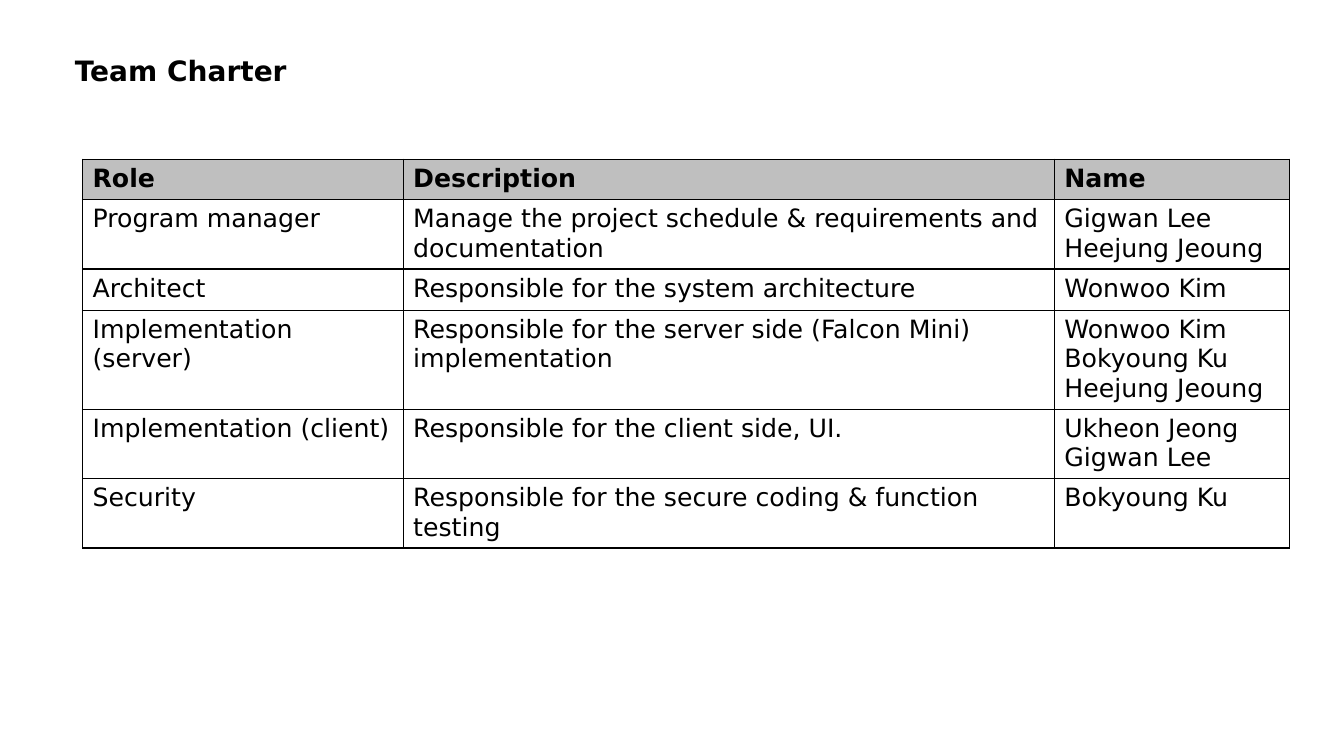
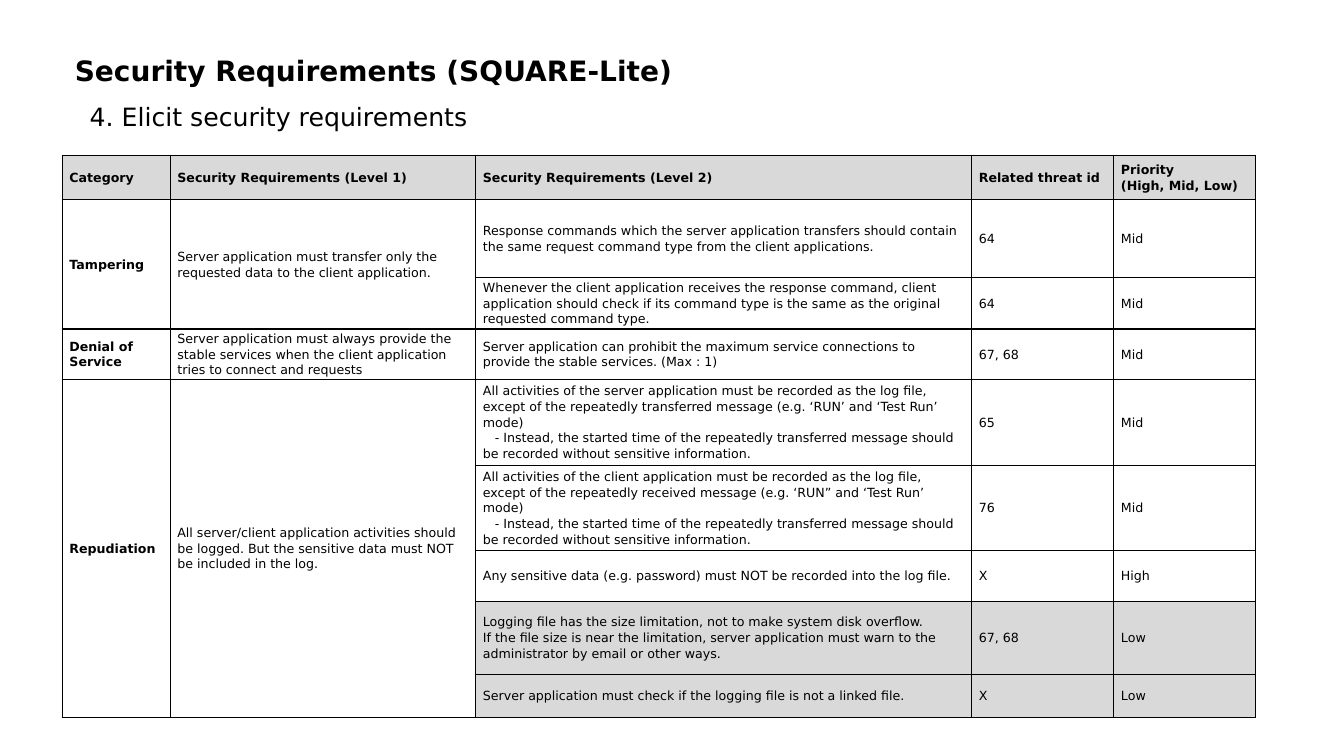
import pptx
import pptx.dml.color
import pptx.enum.text
import pptx.oxml
import pptx.oxml.ns
import pptx.util
from pptx.util import Cm, Pt

FONT = "DejaVu Sans"
BLACK, WHITE, GREY, LIGHT_GREY = "000000", "FFFFFF", "BFBFBF", "D9D9D9"
MIDDLE = pptx.enum.text.MSO_ANCHOR.MIDDLE
LEFT = pptx.enum.text.PP_ALIGN.LEFT

CHARTER_HEADER = ("Role", "Description", "Name")
CHARTER_COLUMNS = (8.08, 16.41, 5.92)
CHARTER_ROWS = (1.02, 1.75, 1.04, 2.49, 1.75, 1.75)
CHARTER = [
    ("Program manager", "Manage the project schedule & requirements and documentation",
     "Gigwan Lee\nHeejung Jeoung"),
    ("Architect", "Responsible for the system architecture", "Wonwoo Kim"),
    ("Implementation (server)",
     "Responsible for the server side (Falcon Mini) implementation",
     "Wonwoo Kim\nBokyoung Ku\nHeejung Jeoung"),
    ("Implementation (client)", "Responsible for the client side, UI.",
     "Ukheon Jeong\nGigwan Lee"),
    ("Security", "Responsible for the secure coding & function testing", "Bokyoung Ku"),
]

REQUIREMENTS_HEADER = ("Category", "Security Requirements (Level 1)",
                       "Security Requirements (Level 2)", "Related threat id",
                       "Priority\n(High, Mid, Low)")
REQUIREMENTS_COLUMNS = (2.72, 7.7, 12.5, 3.58, 3.56)
REQUIREMENTS_ROWS = (1.12, 1.96, 1.3, 1.27, 2.16, 2.16, 1.27, 1.85, 1.07)
# Category, level 1, then its level 2 rows: text, threat ids, priority
REQUIREMENTS = [
    ("Tampering",
     "Server application must transfer only the requested data to the client application.",
     [("Response commands which the server application transfers should contain the same "
       "request command type from the client applications.", "64", "Mid"),
      ("Whenever the client application receives the response command, client application "
       "should check if its command type is the same as the original requested command type.",
       "64", "Mid")]),
    ("Denial of Service",
     "Server application must always provide the stable services when the client "
     "application tries to connect and requests",
     [("Server application can prohibit the maximum service connections to provide the "
       "stable services. (Max : 1)", "67, 68", "Mid")]),
    ("Repudiation",
     "All server/client application activities should be logged. But the sensitive data "
     "must NOT be included in the log.",
     [("All activities of the server application must be recorded as the log file, except "
       "of the repeatedly transferred message (e.g. ‘RUN’ and ‘Test Run’ mode)\n"
       "- Instead, the started time of the repeatedly transferred message should be "
       "recorded without sensitive information.", "65", "Mid"),
      ("All activities of the client application must be recorded as the log file, except "
       "of the repeatedly received message (e.g. ‘RUN” and ‘Test Run’ mode)\n"
       "- Instead, the started time of the repeatedly transferred message should be "
       "recorded without sensitive information.", "76", "Mid"),
      ("Any sensitive data (e.g. password) must NOT be recorded into the log file.",
       "X", "High"),
      ("Logging file has the size limitation, not to make system disk overflow.\n"
       "If the file size is near the limitation, server application must warn to the "
       "administrator by email or other ways.", "67, 68", "Low"),
      ("Server application must check if the logging file is not a linked file.",
       "X", "Low")]),
]


def rgb(color):
    return pptx.dml.color.RGBColor.from_string(color)


def style_text(frame, size, bold=False, line_spacing=None):
    for paragraph in frame.paragraphs:
        paragraph.alignment = LEFT
        paragraph.line_spacing = line_spacing
        font = paragraph.font
        font.name, font.size, font.bold = FONT, Pt(size), bold
        font.color.rgb = rgb(BLACK)


def add_titled_slide(deck, heading):
    slide = deck.slides.add_slide(deck.slide_layouts[5])
    title = slide.shapes.title
    title.left, title.top, title.width, title.height = Cm(1.63), Cm(0.66), Cm(29.21), Cm(2.31)
    title.text_frame.text = heading
    title.text_frame.vertical_anchor = MIDDLE
    style_text(title.text_frame, 20, bold=True, line_spacing=0.9)
    return slide


def set_borders(cell):
    properties = cell._tc.get_or_add_tcPr()
    for position, side in enumerate(("lnL", "lnR", "lnT", "lnB")):
        properties.insert(position, pptx.oxml.parse_xml(
            f'<a:{side} {pptx.oxml.ns.nsdecls("a")} w="{Pt(1)}"><a:solidFill>'
            f'<a:srgbClr val="{BLACK}"/></a:solidFill></a:{side}>'))


def fill_cell(cell, text, size, bold, fill, line_spacing=None):
    cell.text = text
    style_text(cell.text_frame, size, bold, line_spacing)
    cell.fill.solid()
    cell.fill.fore_color.rgb = rgb(fill)
    set_borders(cell)


def add_plain_table(slide, left, top, columns, rows):
    table = slide.shapes.add_table(len(rows), len(columns), Cm(left), Cm(top),
                                   Cm(sum(columns)), Cm(sum(rows))).table
    table.first_row = table.horz_banding = False
    for column, width in zip(table.columns, columns):
        column.width = Cm(width)
    for row, height in zip(table.rows, rows):
        row.height = Cm(height)
    return table


def build_charter(deck):
    slide = add_titled_slide(deck, "Team Charter")
    table = add_plain_table(slide, 2.08, 4.01, CHARTER_COLUMNS, CHARTER_ROWS)
    for r, texts in enumerate([CHARTER_HEADER] + CHARTER):
        for c, text in enumerate(texts):
            fill_cell(table.cell(r, c), text, 18, r == 0, WHITE if r else GREY)


def fill_requirement(cell, text, bold, fill):
    fill_cell(cell, text, 9, bold, fill, line_spacing=1.07)
    cell.vertical_anchor = MIDDLE
    cell.margin_left = cell.margin_right = Cm(0.18)
    cell.margin_top = cell.margin_bottom = 0
    for paragraph in cell.text_frame.paragraphs:
        if paragraph.text.startswith("- "):
            paragraph._p.get_or_add_pPr().set("indent", str(Cm(0.3)))


def build_requirements(deck):
    slide = add_titled_slide(deck, "Security Requirements (SQUARE-Lite)")
    step = slide.shapes.add_textbox(Cm(2.01), Cm(2.44), Cm(27.48), Cm(1.02)).text_frame
    step.word_wrap = True
    step.text = "4. Elicit security requirements"
    style_text(step, 18)

    table = add_plain_table(slide, 1.57, 3.91, REQUIREMENTS_COLUMNS, REQUIREMENTS_ROWS)
    for c, text in enumerate(REQUIREMENTS_HEADER):
        fill_requirement(table.cell(0, c), text, True, LIGHT_GREY)
    first = 1
    for category, level1, details in REQUIREMENTS:
        last = first + len(details) - 1
        for r, detail in enumerate(details, first):
            shared = (category, level1) if r == first else ("", "")
            row_fill = LIGHT_GREY if detail[-1] == "Low" else WHITE
            for c, text in enumerate(shared + detail):
                fill_requirement(table.cell(r, c), text, c == 0, WHITE if c < 2 else row_fill)
        if last > first:
            for c in range(2):
                table.cell(first, c).merge(table.cell(last, c))
        first = last + 1


def main():
    deck = pptx.Presentation()
    deck.slide_width, deck.slide_height = Cm(33.87), Cm(19.05)
    build_charter(deck)
    build_requirements(deck)
    deck.save("out.pptx")


if __name__ == "__main__":
    main()
